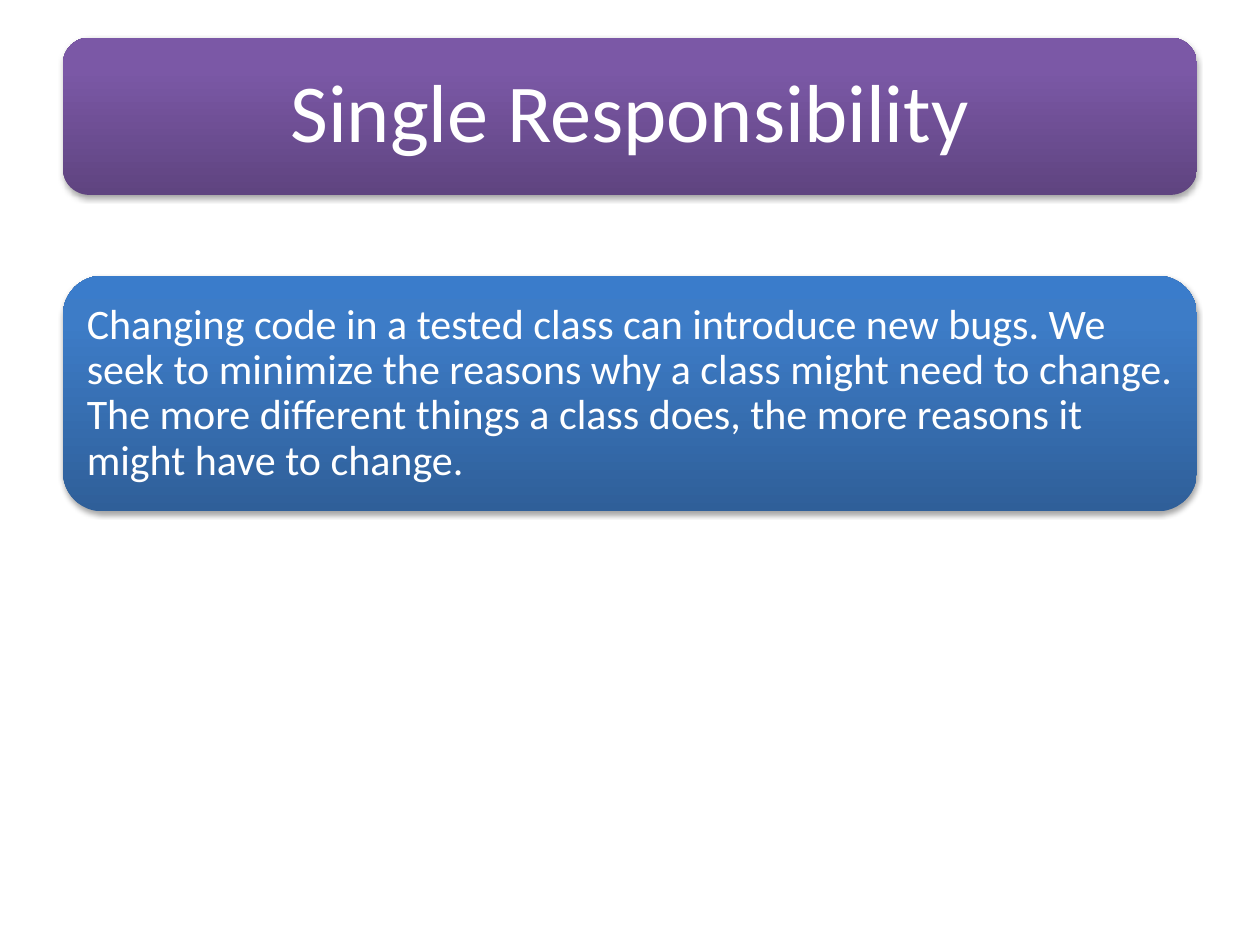
"""Build the Single Responsibility slide."""
from dataclasses import dataclass

from lxml.etree import SubElement
from pptx import Presentation
from pptx.dml.color import RGBColor
from pptx.enum.shapes import MSO_SHAPE as Preset
from pptx.enum.text import MSO_ANCHOR as Anchor, PP_ALIGN as Align
from pptx.oxml.ns import qn
from pptx.util import Cm, Pt


@dataclass(frozen=True)
class Theme:
    """Colours, font and type sizes of the slide."""
    font: str = "Calibri"
    text: str = "FFFFFF"
    shadow: str = "000000"
    purple: tuple = ((0, "5F4480"), (80, "7B58A6"), (100, "7C57A8"))
    blue: tuple = ((0, "2F5F99"), (80, "3D7CC7"), (100, "3A7CCB"))
    title_size: int = 47
    body_size: int = 24


THEME = Theme()
LEFT, WIDTH = 1.27, 22.86


def add_colour(parent, colour):
    """Add an RGB colour element to parent and return it."""
    return SubElement(parent, qn("a:srgbClr"), val=colour)


def set_gradient(shape, stops):
    """Fill the shape with a gradient that runs from bottom to top."""
    shape.fill.gradient()
    shape.fill.gradient_angle = 90
    stop_list = shape.element.spPr.find(f".//{qn('a:gsLst')}")
    for stop in list(stop_list):
        stop_list.remove(stop)
    for percent, colour in stops:
        stop = SubElement(stop_list, qn("a:gs"), pos=str(percent * 1000))
        add_colour(stop, colour)


def set_shadow(shape):
    """Give the shape a soft shadow straight below it."""
    shape.shadow.inherit = False
    effects = shape.element.spPr.find(qn("a:effectLst"))
    shadow = SubElement(effects, qn("a:outerShdw"), blurRad=str(Pt(3.1)),
                        dist=str(Pt(1.8)), dir="5400000", rotWithShape="0")
    SubElement(add_colour(shadow, THEME.shadow), qn("a:alpha"), val="35000")


def add_text(shapes, text, left, top, width, height, *, size, margin, align):
    """Add a vertically centred text box."""
    frame = shapes.add_textbox(Cm(left), Cm(top), Cm(width), Cm(height)).text_frame
    frame.word_wrap = True
    frame.vertical_anchor = Anchor.MIDDLE
    frame.margin_left = frame.margin_right = Cm(margin)
    frame.margin_top = frame.margin_bottom = Cm(margin)
    paragraph = frame.paragraphs[0]
    paragraph.text = text
    paragraph.alignment = align
    paragraph.line_spacing = 0.9
    font = paragraph.font
    font.name = THEME.font
    font.size = Pt(size)
    font.color.rgb = RGBColor.from_string(THEME.text)


def add_panel(slide, text, top, height, *, stops, inset, **text_format):
    """Add a rounded gradient panel grouped with its inset text."""
    shapes = slide.shapes.add_group_shape().shapes
    panel = shapes.add_shape(Preset.ROUNDED_RECTANGLE, Cm(LEFT), Cm(top),
                             Cm(WIDTH), Cm(height))
    set_gradient(panel, stops)
    panel.line.fill.background()
    set_shadow(panel)
    add_text(shapes, text, LEFT + inset, top + inset,
             WIDTH - 2 * inset, height - 2 * inset, **text_format)


def main():
    """Create and save the presentation."""
    presentation = Presentation()
    presentation.slide_width, presentation.slide_height = Cm(25.4), Cm(19.05)
    slide = presentation.slides.add_slide(presentation.slide_layouts[6])
    add_panel(slide, "Single Responsibility", 0.76, 3.17,
              stops=THEME.purple, inset=0.15, size=THEME.title_size,
              margin=0.5, align=Align.CENTER)
    add_panel(slide, "Changing code in a tested class can introduce new bugs. "
              "We seek to minimize the reasons why a class might need to change. "
              "The more different things a class does, the more reasons it "
              "might have to change.", 5.56, 4.75,
              stops=THEME.blue, inset=0.23, size=THEME.body_size,
              margin=0.25, align=Align.LEFT)
    presentation.save("out.pptx")


if __name__ == "__main__":
    main()
